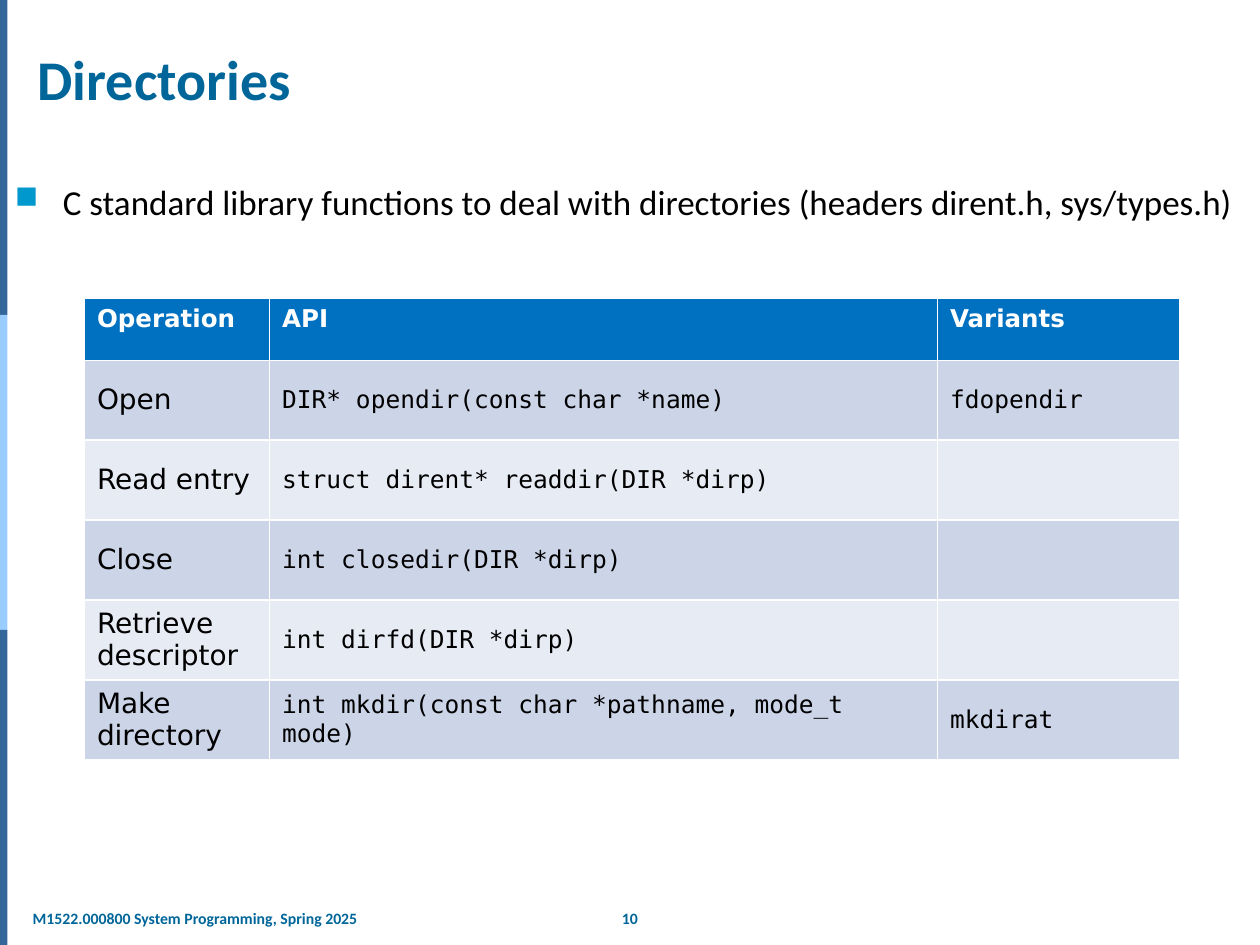
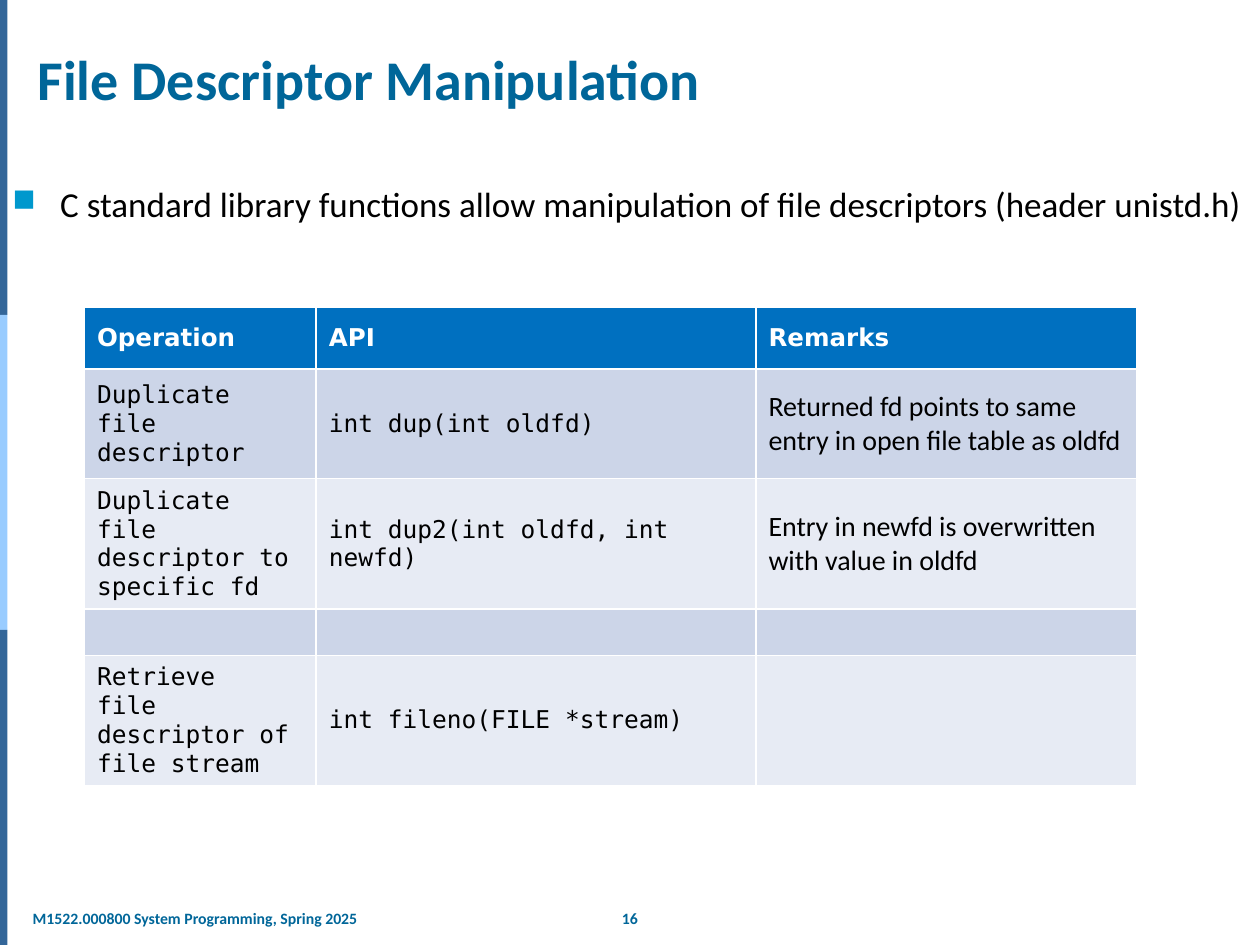
from lxml import etree
from pptx import Presentation
from pptx.dml.color import RGBColor
from pptx.enum import shapes, text
from pptx.oxml import ns
from pptx.util import Inches, Pt

COLUMNS, ROWS = 100, 75
CELL = Inches(0.1)

HEADING, BODY_TEXT, WHITE = "006699", "000000", "FFFFFF"
BULLET, TABLE_HEADER = "0098CD", "0070C0"
BANDS = ("CCD5E8", "E7EBF4")
STRIPES = ("336699", "99CCFF", "336699")

PROSE, SANS, MONO = "Calibri", "DejaVu Sans", "DejaVu Sans Mono"
COURSE = "M1522.000800 System Programming, Spring 2025"


def color(code):
    return RGBColor.from_string(code)


def grid(*cells):
    return [round(CELL * count) for count in cells]


def format_runs(paragraph, font, size, code, bold=False):
    for run in paragraph.runs:
        run.font.name = font
        run.font.size = Pt(size)
        run.font.bold = bold
        run.font.color.rgb = color(code)


def add_text(slide, place, words, size, code, bold=False, wrap=True):
    frame = slide.shapes.add_textbox(*grid(*place)).text_frame
    frame.word_wrap = wrap
    frame.text = words
    format_runs(frame.paragraphs[0], PROSE, size, code, bold)
    return frame


def add_stripes(slide):
    height = ROWS / len(STRIPES)
    for order, code in enumerate(STRIPES):
        stripe = slide.shapes.add_shape(
            shapes.MSO_SHAPE.RECTANGLE, *grid(0, order * height, 0.6, height))
        stripe.shadow.inherit = False
        stripe.fill.solid()
        stripe.fill.fore_color.rgb = color(code)
        stripe.line.fill.background()


def add_footer(slide, number):
    page = add_text(slide, (48.2, 71.6, 3.6, 2.5), str(number), 9, HEADING, True, False)
    page.paragraphs[0].alignment = text.PP_ALIGN.CENTER
    course = add_text(slide, (2, 71.6, 27.2, 2.5), COURSE, 9, HEADING, True, False)
    course.margin_left = course.margin_right = Inches(0.06)


def add_title(slide, words):
    title = add_text(slide, (2, 3.1, 96.5, 6.3), words, 32, HEADING, True)
    title.vertical_anchor = text.MSO_ANCHOR.BOTTOM


def add_bullet(slide, left, top, words):
    frame = add_text(slide, (left, top, COLUMNS, 57.1), words, 20, BODY_TEXT)
    frame.margin_right = 0
    properties = frame.paragraphs[0]._p.get_or_add_pPr()
    indent = Inches(0.38)
    properties.set("marL", str(indent))
    properties.set("indent", str(-indent))
    tint = etree.SubElement(properties, ns.qn("a:buClr"))
    etree.SubElement(tint, ns.qn("a:srgbClr"), val=BULLET)
    etree.SubElement(properties, ns.qn("a:buSzPct"), val="90000")
    etree.SubElement(properties, ns.qn("a:buChar"), char="■")


def fill_cell(cell, words, fill, anchor, font, size, code, bold=False):
    cell.fill.solid()
    cell.fill.fore_color.rgb = color(fill)
    cell.vertical_anchor = anchor
    paragraph = cell.text_frame.paragraphs[0]
    if words:
        paragraph.text = words
        format_runs(paragraph, font, size, code, bold)
    else:
        paragraph._p.get_or_add_endParaRPr().set("sz", str(size * 100))


def add_api_table(slide, top, widths, heights, styles, header_anchor, records):
    table = slide.shapes.add_table(
        len(heights), len(widths), *grid(6.7, top, sum(widths), sum(heights))).table
    for column, width in zip(table.columns, grid(*widths)):
        column.width = width
    for row, height in zip(table.rows, grid(*heights)):
        row.height = height
    header, *operations = records
    for cell, words in zip(table.rows[0].cells, header):
        fill_cell(cell, words, TABLE_HEADER, header_anchor, SANS, 14, WHITE, True)
    for order, operation in enumerate(operations):
        cells = table.rows[order + 1].cells
        for cell, words, (font, size) in zip(cells, operation, styles):
            fill_cell(cell, words, BANDS[order % 2], text.MSO_ANCHOR.MIDDLE,
                      font, size, BODY_TEXT)


def start_slide(deck, title, number):
    slide = deck.slides.add_slide(deck.slide_layouts[6])
    add_stripes(slide)
    add_footer(slide, number)
    add_title(slide, title)
    return slide


def add_directories(deck):
    slide = start_slide(deck, "Directories", 10)
    add_bullet(slide, 0.2, 13.8, "C standard library functions to deal with directories "
               "(headers dirent.h, sys/types.h)")
    add_api_table(
        slide, 23.7, (14.7, 53, 19.2), (4.9, *[6.34] * 5),
        ((SANS, 16), (MONO, 14), (MONO, 14)), text.MSO_ANCHOR.TOP,
        (("Operation", "API", "Variants"),
         ("Open", "DIR* opendir(const char *name)", "fdopendir"),
         ("Read entry", "struct dirent* readdir(DIR *dirp)", ""),
         ("Close", "int closedir(DIR *dirp)", ""),
         ("Retrieve descriptor", "int dirfd(DIR *dirp)", ""),
         ("Make directory", "int mkdir(const char *pathname, mode_t mode)", "mkdirat")))


def add_descriptors(deck):
    slide = start_slide(deck, "File Descriptor Manipulation", 16)
    add_bullet(slide, 0, 14, "C standard library functions allow manipulation of "
               "file descriptors (header unistd.h)")
    add_api_table(
        slide, 24.4, (18.4, 34.9, 30.2), (4.9, 8.7, 8.7, 3.3, 8.7),
        ((MONO, 14), (MONO, 14), (PROSE, 16)), text.MSO_ANCHOR.MIDDLE,
        (("Operation", "API", "Remarks"),
         ("Duplicate \vfile descriptor", "int dup(int oldfd)",
          "Returned fd points to same entry in open file table as oldfd"),
         ("Duplicate \vfile descriptor to specific fd", "int dup2(int oldfd, int newfd)",
          "Entry in newfd is overwritten with value in oldfd"),
         ("", "", ""),
         ("Retrieve \vfile descriptor of file stream", "int fileno(FILE *stream)", "")))


def main():
    deck = Presentation()
    deck.slide_width, deck.slide_height = grid(COLUMNS, ROWS)
    add_directories(deck)
    add_descriptors(deck)
    deck.save("out.pptx")


if __name__ == "__main__":
    main()
